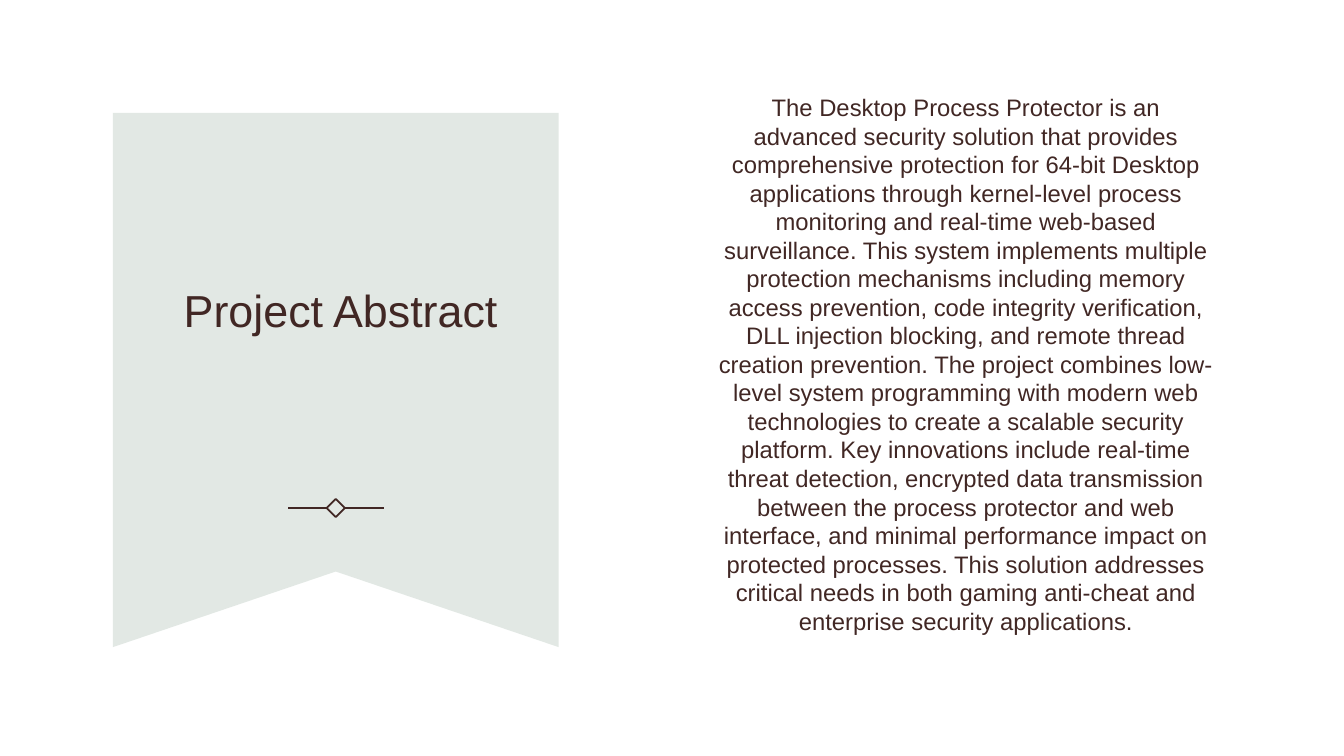
"""Builds the Project Abstract slide with a ribbon banner and a body paragraph."""
from lxml.etree import SubElement
from pptx import Presentation
from pptx.dml.color import RGBColor
from pptx.enum.shapes import MSO_CONNECTOR, MSO_SHAPE
from pptx.enum.text import MSO_ANCHOR, PP_ALIGN
from pptx.oxml.ns import qn
from pptx.util import Inches, Pt

INK, SAGE, WHITE = "412724", "E2E8E4", "FFFFFF"
TITLE = "Project Abstract"
ABSTRACT = (
    "The Desktop Process Protector is an advanced security solution that provides "
    "comprehensive protection for 64-bit Desktop applications through kernel-level "
    "process monitoring and real-time web-based surveillance. This system implements "
    "multiple protection mechanisms including memory access prevention, code integrity "
    "verification, DLL injection blocking, and remote thread creation prevention. The "
    "project combines low-level system programming with modern web technologies to "
    "create a scalable security platform. Key innovations include real-time threat "
    "detection, encrypted data transmission between the process protector and web "
    "interface, and minimal performance impact on protected processes. This solution "
    "addresses critical needs in both gaming anti-cheat and enterprise security "
    "applications."
)
TEXTS = [
    (TITLE, (1.54, 1.48, 3.68, 3.14), 32, 1.1),
    (ABSTRACT, (7.02, 0.79, 5.12, 5.64), 17, Pt(20.4)),
]
RIBBON = [(1.12, 1.12), (5.54, 1.12), (5.54, 6.42), (3.33, 5.67), (1.12, 6.42)]
ORNAMENT_X, ORNAMENT_Y, DIAMOND_SIZE = 3.33, 5.04, 0.18
LINE_ENDS = [(2.86, 1), (3.81, 3)]


def color(value):
    return RGBColor.from_string(value)


def paint(fill, value):
    fill.solid()
    fill.fore_color.rgb = color(value)


def outline(line):
    line.color.rgb = color(INK)
    line.width = Pt(1.25)


def add_text(page, text, bounds, size, spacing):
    box = page.shapes.add_textbox(*map(Inches, bounds))
    frame = box.text_frame
    frame.word_wrap = True
    frame.vertical_anchor = MSO_ANCHOR.MIDDLE
    para = frame.paragraphs[0]
    para.text = text
    para.alignment = PP_ALIGN.CENTER
    para.line_spacing = spacing
    para.font.name = "Arial"
    para.font.size = Pt(size)
    para.font.color.rgb = color(INK)


def add_ribbon(page):
    points = [(Inches(x), Inches(y)) for x, y in RIBBON]
    builder = page.shapes.build_freeform(*points[0])
    builder.add_line_segments(points[1:], close=True)
    ribbon = builder.convert_to_shape()
    ribbon.shadow.inherit = False
    paint(ribbon.fill, SAGE)
    ribbon.line.fill.background()


def add_ornament(page):
    half = DIAMOND_SIZE / 2
    bounds = (ORNAMENT_X - half, ORNAMENT_Y - half, DIAMOND_SIZE, DIAMOND_SIZE)
    diamond = page.shapes.add_shape(MSO_SHAPE.DIAMOND, *map(Inches, bounds))
    diamond.shadow.inherit = False
    diamond.fill.background()
    outline(diamond.line)
    for end_x, site in LINE_ENDS:
        ends = (ORNAMENT_X, ORNAMENT_Y, end_x, ORNAMENT_Y)
        rule = page.shapes.add_connector(MSO_CONNECTOR.STRAIGHT, *map(Inches, ends))
        rule.begin_connect(diamond, site)
        outline(rule.line)
        SubElement(rule._element.spPr, qn("a:effectLst"))


def main():
    deck = Presentation()
    deck.slide_width, deck.slide_height = Inches(13.33), Inches(7.5)
    page = deck.slides.add_slide(deck.slide_layouts[6])
    paint(page.background.fill, WHITE)
    add_ribbon(page)
    add_ornament(page)
    for text in TEXTS:
        add_text(page, *text)
    deck.save("out.pptx")


if __name__ == "__main__":
    main()
